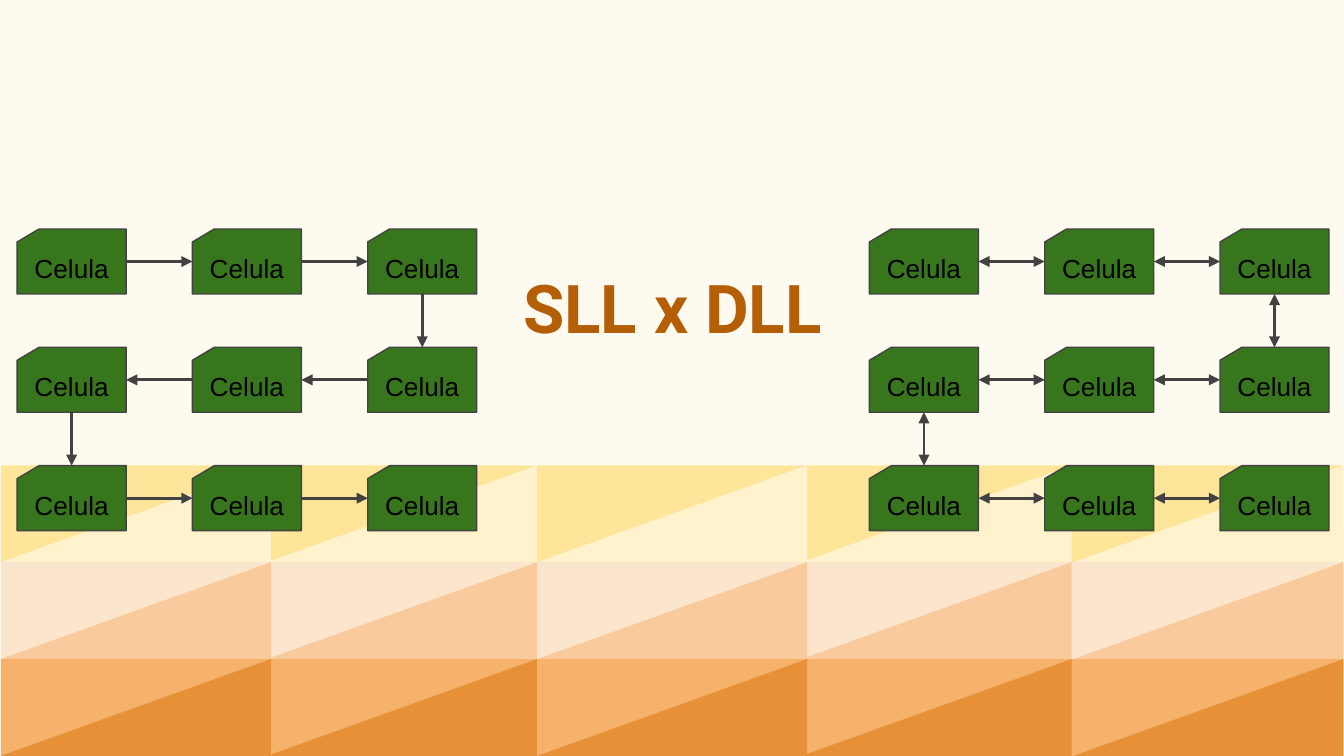
from itertools import pairwise, product

from lxml.etree import SubElement
from pptx import Presentation
from pptx.dml.color import RGBColor
from pptx.enum.shapes import MSO_CONNECTOR as Line, MSO_SHAPE as Shape
from pptx.enum.text import MSO_ANCHOR as Anchor, PP_ALIGN as Align
from pptx.oxml.ns import qn
from pptx.util import Pt

CREAM = RGBColor(0xFF, 0xFA, 0xF0)
GREEN = RGBColor(0x38, 0x76, 0x1D)
GREY = RGBColor(0x42, 0x42, 0x42)
BLACK = RGBColor(0, 0, 0)
BROWN = RGBColor(0xB4, 0x5F, 0x06)
# Each band: background colour, triangle colour
BANDS = [
    (RGBColor(0xFF, 0xE5, 0x99), RGBColor(0xFF, 0xF2, 0xCC)),
    (RGBColor(0xFC, 0xE5, 0xCD), RGBColor(0xF9, 0xCB, 0x9C)),
    (RGBColor(0xF6, 0xB2, 0x6B), RGBColor(0xE6, 0x91, 0x38)),
]

WIDTH, HEIGHT = 720, 405
BAND_TOP, BAND_HEIGHT = 249.3, 51.9
TRIANGLE_LENGTH = 144.7
TRIANGLE_CENTRES = [647.3, 501.7, 360, 215.3, 72.7]
CARD_WIDTH, CARD_HEIGHT = 58.4, 34.8
CARD_TOP, COLUMN_STEP, ROW_STEP = 122.7, 93.9, 63.4
TOP, LEFT, BOTTOM, RIGHT = range(4)  # connection sites of a card


def add_shape(page, kind, left, top, width, height, fill):
    shape = page.shapes.add_shape(kind, Pt(left), Pt(top), Pt(width), Pt(height))
    shape.shadow.inherit = False
    shape.fill.solid()
    shape.fill.fore_color.rgb = fill
    shape.line.fill.background()
    return shape


def write(box, text, font, size, color, anchor, bold=False):
    frame = box.text_frame
    frame.word_wrap = True
    frame.vertical_anchor = anchor
    frame.margin_left = frame.margin_right = Pt(7.2)
    frame.margin_top = frame.margin_bottom = Pt(7.2)
    frame.text = text
    para = frame.paragraphs[0]
    para.alignment = Align.CENTER
    span = para.runs[0]
    span.font.name, span.font.size, span.font.bold = font, Pt(size), bold
    span.font.color.rgb = color


def add_band(page, row, back, front):
    top = BAND_TOP + row * BAND_HEIGHT
    add_shape(page, Shape.RECTANGLE, 0.5, top, WIDTH - 1, BAND_HEIGHT, back)
    for centre in TRIANGLE_CENTRES:
        # Placed upright around its centre, then turned onto its side
        triangle = add_shape(
            page, Shape.RIGHT_TRIANGLE, centre - BAND_HEIGHT / 2,
            top + (BAND_HEIGHT - TRIANGLE_LENGTH) / 2,
            BAND_HEIGHT, TRIANGLE_LENGTH, front)
        triangle.rotation = 270


def add_card(page, left, top):
    card = add_shape(page, Shape.FLOWCHART_CARD, left, top,
                     CARD_WIDTH, CARD_HEIGHT, GREEN)
    card.line.color.rgb = GREY
    card.line.width = Pt(0.75)
    write(card, "Celula", "Arial", 14, BLACK, Anchor.MIDDLE)
    return card


def add_arrow(page, start, start_site, end, end_site, both_ways):
    arrow = page.shapes.add_connector(Line.STRAIGHT, 0, 0, 0, 0)
    arrow.begin_connect(start, start_site)
    arrow.end_connect(end, end_site)
    arrow.line.color.rgb = GREY
    arrow.line.width = Pt(1.5)
    outline = arrow.line._get_or_add_ln()
    for tag in ("a:headEnd", "a:tailEnd") if both_ways else ("a:tailEnd",):
        SubElement(outline, qn(tag), type="triangle")
    SubElement(arrow._element.spPr, qn("a:effectLst"))


def add_linked_list(page, left, both_ways):
    cards = {
        (row, column): add_card(page, left + column * COLUMN_STEP,
                                CARD_TOP + row * ROW_STEP)
        for row, column in product(range(3), repeat=2)
    }
    # The chain snakes: every second row runs from right to left
    chain = [(row, 2 - step if row % 2 else step)
             for row, step in product(range(3), repeat=2)]
    for here, there in pairwise(chain):
        if here[0] != there[0]:
            sites = BOTTOM, TOP
        elif here[1] < there[1]:
            sites = RIGHT, LEFT
        else:
            sites = LEFT, RIGHT
        add_arrow(page, cards[here], sites[0], cards[there], sites[1], both_ways)


def main():
    deck = Presentation()
    deck.slide_width, deck.slide_height = Pt(WIDTH), Pt(HEIGHT)
    page = deck.slides.add_slide(deck.slide_layouts[6])

    # Background and patterned bands
    add_shape(page, Shape.RECTANGLE, 0, 0, WIDTH, HEIGHT, CREAM)
    for row, (back, front) in enumerate(BANDS):
        add_band(page, row, back, front)

    # Title
    title = page.shapes.add_textbox(Pt(145.4), Pt(59), Pt(429.8), Pt(133.9))
    write(title, "SLL x DLL", "Roboto", 36, BROWN, Anchor.BOTTOM, bold=True)

    # Singly linked list on the left, doubly linked list on the right
    add_linked_list(page, 9.2, both_ways=False)
    add_linked_list(page, 465.8, both_ways=True)

    deck.save("out.pptx")


if __name__ == "__main__":
    main()
